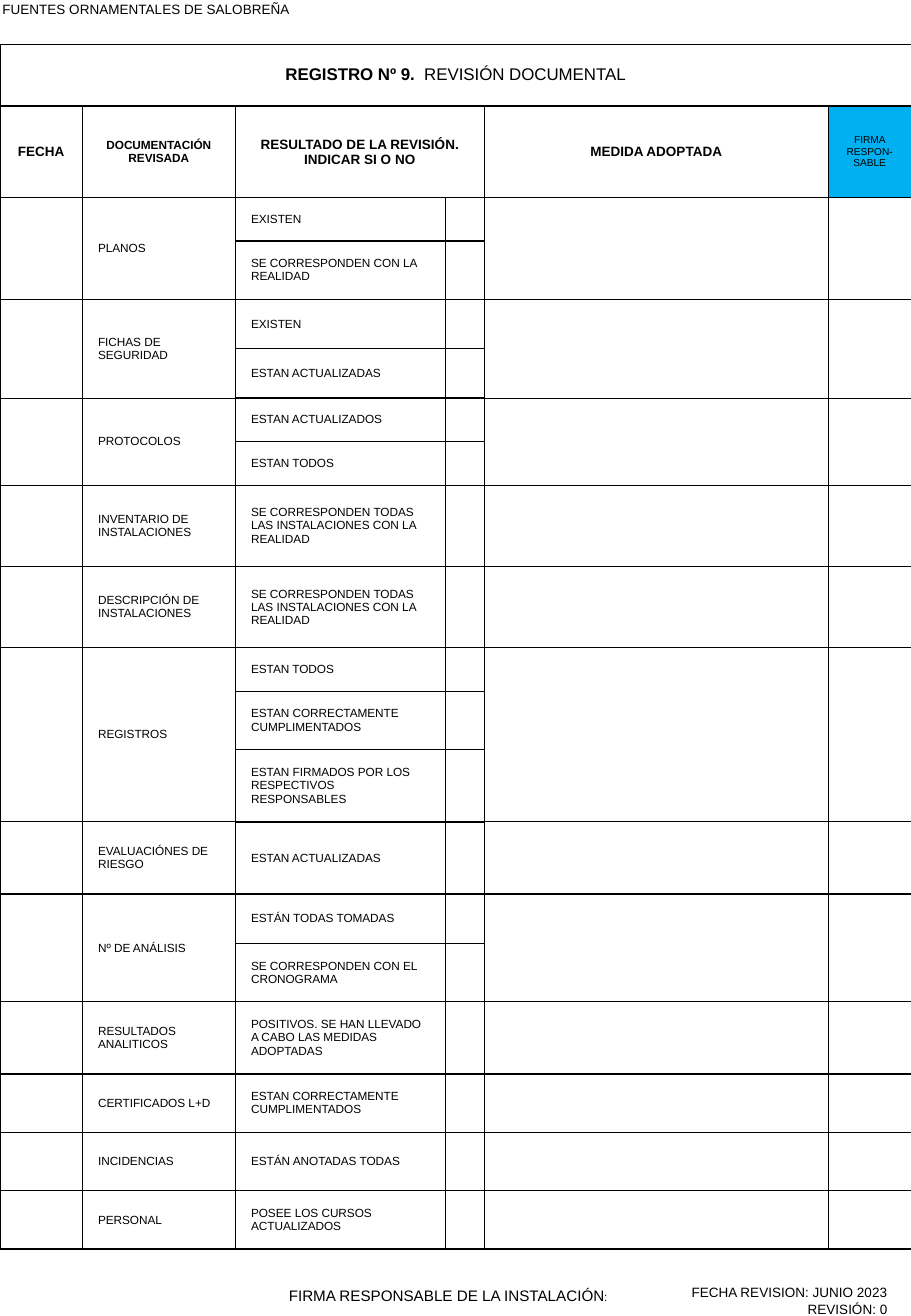
import pptx
import pptx.util
import pptx.dml.color
import pptx.enum.text
import pptx.oxml
from pptx.oxml.ns import nsdecls

Cm, Pt = pptx.util.Cm, pptx.util.Pt
ALIGN = pptx.enum.text.PP_ALIGN
COLORS = {"ink": "000000", "paper": "FFFFFF", "signature": "00B0F0"}
FONT = "Arial"
THIN, THICK = 0.5, 1

TITLE = [("REGISTRO Nº 9. ", 10, True), (" REVISIÓN DOCUMENTAL", 10, False)]
HEADINGS = {
    0: ("FECHA", 8, True),
    1: ("DOCUMENTACIÓN REVISADA", 7, True),
    2: ("RESULTADO DE LA REVISIÓN. INDICAR SI O NO", 8, True),
    4: ("MEDIDA ADOPTADA", 8, True),
    5: ("FIRMA RESPON-SABLE", 6, False),
}
DOCUMENTS = [
    ("PLANOS", [("EXISTEN", 0.91), ("SE CORRESPONDEN CON LA REALIDAD", 1.22)]),
    ("FICHAS DE SEGURIDAD", [("EXISTEN", 1.03), ("ESTAN ACTUALIZADAS", 1.03)]),
    ("PROTOCOLOS", [("ESTAN ACTUALIZADOS", 0.91), ("ESTAN TODOS", 0.91)]),
    ("INVENTARIO DE INSTALACIONES",
     [("SE CORRESPONDEN TODAS LAS INSTALACIONES CON LA REALIDAD", 1.7)]),
    ("DESCRIPCIÓN DE INSTALACIONES",
     [("SE CORRESPONDEN TODAS LAS INSTALACIONES CON LA REALIDAD", 1.7)]),
    ("REGISTROS", [("ESTAN TODOS", 0.91),
                   ("ESTAN CORRECTAMENTE CUMPLIMENTADOS", 1.22),
                   ("ESTAN FIRMADOS POR LOS RESPECTIVOS RESPONSABLES", 1.51)]),
    ("EVALUACIÓNES DE RIESGO", [("ESTAN ACTUALIZADAS", 1.51)]),
    ("Nº DE ANÁLISIS", [("ESTÁN TODAS TOMADAS", 1.03),
                        ("SE CORRESPONDEN CON EL CRONOGRAMA", 1.22)]),
    ("RESULTADOS ANALITICOS",
     [("POSITIVOS. SE HAN LLEVADO A CABO LAS MEDIDAS ADOPTADAS", 1.51)]),
    ("CERTIFICADOS L+D", [("ESTAN CORRECTAMENTE CUMPLIMENTADOS", 1.22)]),
    ("INCIDENCIAS", [("ESTÁN ANOTADAS TODAS", 1.22)]),
    ("PERSONAL", [("POSEE LOS CURSOS ACTUALIZADOS", 1.22)]),
]
COL_WIDTHS = [1.72, 3.2, 4.4, 0.81, 7.19, 1.73]
ROW_HEIGHTS = [1.3, 1.91] + [h for _, checks in DOCUMENTS for _, h in checks]
RESULT_COLS = (2, 3)
THIN_RESULT_EDGES = (2, 8, 9, 10)
FIRST_THICK_EDGE = 14
TABLE_TOP = 0.92
SLIDE_W, SLIDE_H = 19.05, 27.51

TEXT_BOXES = [
    ((0, 0, 8.2, 0.48), (0.05, 0.03), ALIGN.LEFT,
     [([("FUENTES ORNAMENTALES DE SALOBREÑA", 8, False)], 0)]),
    ((13.13, 26.72, 5.92, 0.79), (0.25, 0.13), ALIGN.RIGHT,
     [([("FECHA REVISION: JUNIO 2023", 8, False)], 0.24),
      ([("REVISIÓN: 0", 8, False)], 0)]),
    ((5.79, 26.77, 7.44, 0.41), (0.25, 0.13), ALIGN.LEFT,
     [([("FIRMA RESPONSABLE DE LA INSTALACIÓN", 9, False), (":", 6.9, False)], 0)]),
]


def rgb(name):
    """Return the named colour."""
    return pptx.dml.color.RGBColor.from_string(COLORS[name])


def write_runs(p, runs, align):
    """Fill a paragraph with formatted runs."""
    p.alignment = align
    for text, size, bold in runs:
        r = p.add_run()
        r.text = text
        r.font.name, r.font.size, r.font.bold = FONT, Pt(size), bold
        r.font.color.rgb = rgb("ink")


def write_cell(cell, runs, align=ALIGN.LEFT):
    """Put runs in a table cell."""
    cell.margin_top = cell.margin_bottom = Cm(0.08)
    write_runs(cell.text_frame.paragraphs[0], runs, align)


def row_edge_width(edge, col):
    """Return the line width of the horizontal edge above row number edge."""
    if edge <= 2:
        return THICK if edge == 1 else THIN
    if col in RESULT_COLS:
        return THIN if edge in THIN_RESULT_EDGES else THICK
    return THICK if edge >= FIRST_THICK_EDGE else THIN


def col_edge_width(edge, row):
    """Return the line width of the vertical edge left of column number edge."""
    return THICK if edge == 3 and row >= 2 else THIN


def draw_borders(cell, row, col):
    """Draw the four borders of a cell or merged block."""
    widths = {
        "L": col_edge_width(col, row),
        "R": col_edge_width(col + cell.span_width, row) if cell.is_merge_origin
        else col_edge_width(col + 1, row),
        "T": row_edge_width(row, col),
        "B": row_edge_width(row + cell.span_height, col) if cell.is_merge_origin
        else row_edge_width(row + 1, col),
    }
    tcPr = cell._tc.get_or_add_tcPr()
    for side, width in widths.items():
        tcPr.append(pptx.oxml.parse_xml(
            f'<a:ln{side} {nsdecls("a")} w="{Pt(width)}"><a:solidFill>'
            f'<a:srgbClr val="{COLORS["ink"]}"/></a:solidFill></a:ln{side}>'))


def add_register(s):
    """Add the review table."""
    frame = s.shapes.add_table(len(ROW_HEIGHTS), len(COL_WIDTHS), 0, Cm(TABLE_TOP),
                               Cm(sum(COL_WIDTHS)), Cm(sum(ROW_HEIGHTS)))
    table = frame.table
    table.first_row = table.horz_banding = False
    for column, width in zip(table.columns, COL_WIDTHS):
        column.width = Cm(width)
    for table_row, height in zip(table.rows, ROW_HEIGHTS):
        table_row.height = Cm(height)
    for cell in table.iter_cells():
        cell.margin_left = cell.margin_right = Cm(0.33)
        cell.margin_top = cell.margin_bottom = 0
        cell.vertical_anchor = pptx.enum.text.MSO_ANCHOR.MIDDLE

    table.cell(0, 0).merge(table.cell(0, 5))
    table.cell(1, 2).merge(table.cell(1, 3))
    write_cell(table.cell(0, 0), TITLE, ALIGN.CENTER)
    for col, heading in HEADINGS.items():
        write_cell(table.cell(1, col), [heading], ALIGN.CENTER)

    row = 2
    for document, checks in DOCUMENTS:
        if len(checks) > 1:
            for col in (0, 1, 4, 5):
                table.cell(row, col).merge(table.cell(row + len(checks) - 1, col))
        write_cell(table.cell(row, 1), [(document, 7, False)])
        for check, _ in checks:
            write_cell(table.cell(row, 2), [(check, 7, False)])
            row += 1

    for row in range(len(ROW_HEIGHTS)):
        for col in range(len(COL_WIDTHS)):
            cell = table.cell(row, col)
            if not cell.is_spanned:
                draw_borders(cell, row, col)
            cell.fill.solid()
            cell.fill.fore_color.rgb = rgb("signature" if (row, col) == (1, 5) else "paper")


def add_text_box(s, place, insets, align, paragraphs):
    """Add a text box of paragraphs with right indents."""
    tf = s.shapes.add_textbox(*map(Cm, place)).text_frame
    tf.word_wrap = True
    tf.margin_left = tf.margin_right = Cm(insets[0])
    tf.margin_top = tf.margin_bottom = Cm(insets[1])
    for i, (runs, right_indent) in enumerate(paragraphs):
        p = tf.add_paragraph() if i else tf.paragraphs[0]
        write_runs(p, runs, align)
        if right_indent:
            p._p.get_or_add_pPr().set("marR", str(Cm(right_indent)))


def main():
    """Build the register slide."""
    prs = pptx.Presentation()
    prs.slide_width, prs.slide_height = Cm(SLIDE_W), Cm(SLIDE_H)
    s = prs.slides.add_slide(prs.slide_layouts[6])
    add_register(s)
    for box in TEXT_BOXES:
        add_text_box(s, *box)
    prs.save("out.pptx")


if __name__ == "__main__":
    main()
